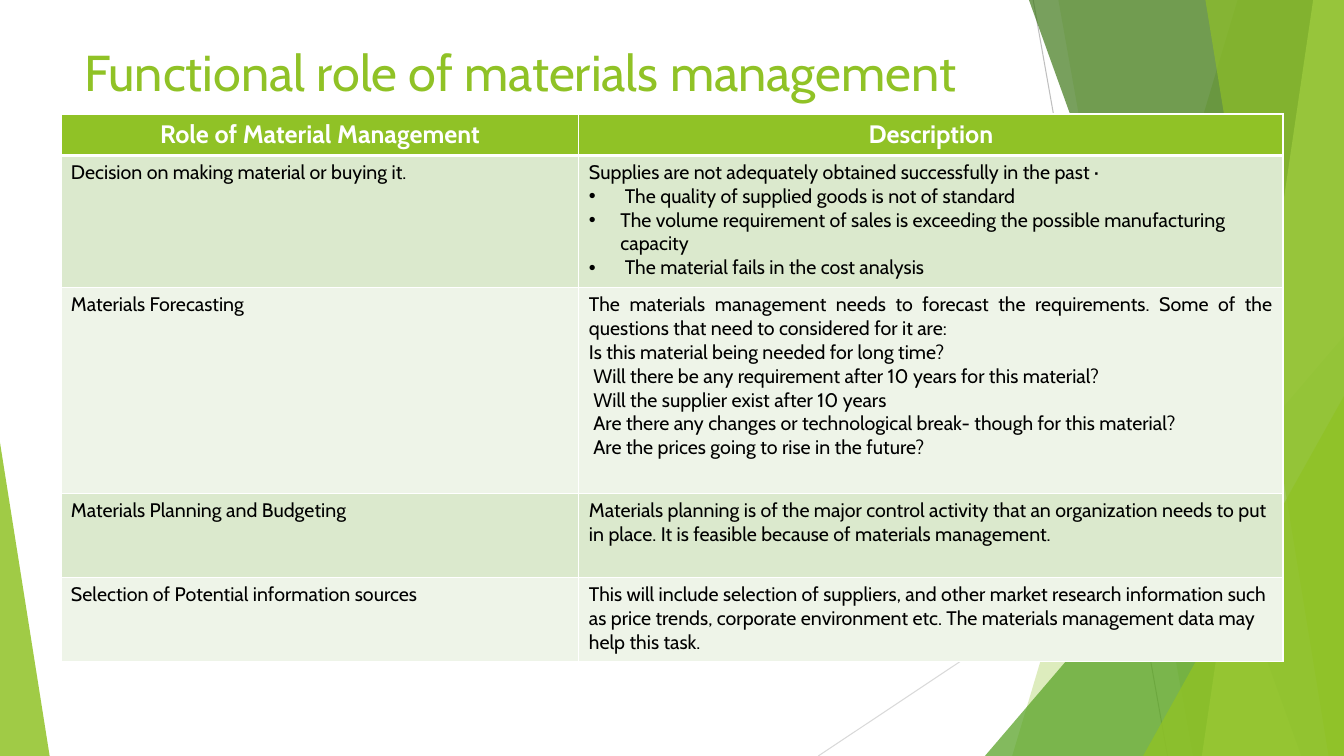
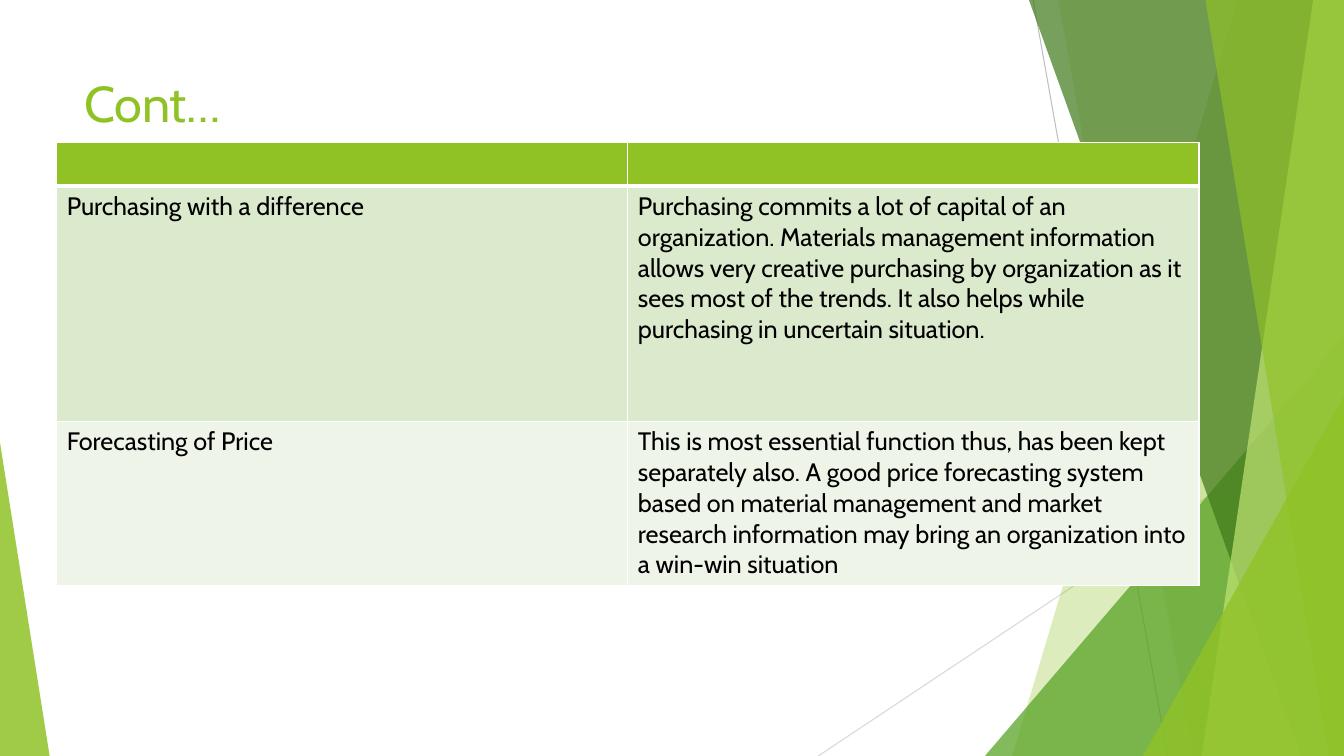
from lxml.etree import SubElement as Sub
from pptx import Presentation
from pptx.dml.color import RGBColor as RGB
from pptx.enum.shapes import MSO_CONNECTOR as LINE, MSO_SHAPE as SHAPE
from pptx.enum.text import PP_ALIGN as ALIGN
from pptx.oxml import parse_xml
from pptx.oxml.ns import nsdecls, qn
from pptx.util import Pt

FONT = "Cabin"
HEX = {
    "lime": "90C226", "leaf": "54A021", "moss": "3F7819", "pale": "C0E474",
    "odd": "DBE9CD", "even": "EEF4E8", "white": "FFFFFF", "black": "000000",
    "gray": "BFBFBF", "mist": "D9D9D9",
}
WIDE, HIGH = 960, 540

# Shared background: thin lines, then facets and triangles from back to front
LINES = [(738, 0, 834, HIGH, "gray"), (WIDE, 290, 584.5, HIGH, "mist")]
SHARDS = [  # facet: top x, bottom x; triangle: left, top, width, peak
    ("facet", (884, 723), "lime", 30),
    ("facet", (756, 852), "lime", 20),
    ("peak", (703.5, 240, 256.5, 1), "leaf", 72),
    ("facet", (735, 929.5), "moss", 70),
    ("facet", (938, 858.5), "pale", 70),
    ("facet", (861, 949), "lime", 65),
    ("peak", (816.5, 283, 143.5, 1), "lime", 80),
    ("peak", (0, 316, 35.5, 0), "lime", 85),
]

# Cell text: a list holds paragraphs, "•" marks a bullet
SLIDES = [
    {
        "title": "Functional role of materials management",
        "box": (53, 26, 816, 69),
        "at": (43.5, 81.5), "cols": (370, 503),
        "rows": (29.5, 94.5, 147, 60, 60), "size": 14, "just": (2, 1),
        "cells": [
            (["Role of Material Management"], ["Description"]),
            (["Decision on making material or buying it."],
             ["Supplies are not adequately obtained successfully in the past ·",
              "• The quality of supplied goods is not of standard",
              "•The volume requirement of sales is exceeding the possible "
              "manufacturing capacity",
              "• The material fails in the cost analysis"]),
            (["Materials Forecasting"],
             ["The materials management needs to forecast the requirements. "
              "Some of the questions that need to considered for it are:",
              "Is this material being needed for long time?",
              " Will there be any requirement after 10 years for this material?",
              " Will the supplier exist after 10 years",
              " Are there any changes or technological break- though for this "
              "material?",
              " Are the prices going to rise in the future?"]),
            (["Materials Planning and Budgeting"],
             ["Materials planning is of the major control activity that an "
              "organization needs to put in place. It is feasible because of "
              "materials management."]),
            (["Selection of Potential information sources"],
             ["This will include selection of suppliers, and other market "
              "research information such as price trends, corporate "
              "environment etc. The materials management data may help this "
              "task."]),
        ],
    },
    {
        "title": "Cont…",
        "box": (53, 48, 677, 104),
        "at": (40.5, 102), "cols": (408, 408),
        "rows": (31, 168, 117), "size": 18, "just": None,
        "cells": [
            ([], []),
            (["Purchasing with a difference"],
             ["Purchasing commits a lot of capital of an organization. "
              "Materials management information allows very creative "
              "purchasing by organization as it sees most of the trends. It "
              "also helps while purchasing in uncertain situation."]),
            (["Forecasting of Price"],
             ["This is most essential function thus, has been kept separately "
              "also. A good price forecasting system based on material "
              "management and market research information may bring an "
              "organization into a win-win situation"]),
        ],
    },
]


def style(para, size, color, bold=False):
    for run in para.runs:
        font = run.font
        font.name, font.size, font.bold = FONT, Pt(size), bold
        font.color.rgb = RGB.from_string(HEX[color])


def edge(cell, top, bottom):
    props = cell._tc.get_or_add_tcPr()
    sides = [("L", 1), ("R", 1), ("T", top), ("B", bottom)]
    for spot, (side, width) in enumerate(sides):
        props.insert(spot, parse_xml(
            f'<a:ln{side} {nsdecls("a")} w="{Pt(width)}"><a:solidFill>'
            f'<a:srgbClr val="{HEX["white"]}"/></a:solidFill></a:ln{side}>'))


deck = Presentation()
deck.slide_width, deck.slide_height = Pt(WIDE), Pt(HIGH)

for page in SLIDES:
    slide = deck.slides.add_slide(deck.slide_layouts[6])
    shapes = slide.shapes

    # Thin lines
    for *ends, color in LINES:
        line = shapes.add_connector(LINE.STRAIGHT, *map(Pt, ends))
        line.line.color.rgb = RGB.from_string(HEX[color])
        line.line.width = Pt(0.75)
        Sub(line._element.spPr, qn("a:effectLst"))

    # Translucent shards
    for kind, place, color, alpha in SHARDS:
        if kind == "facet":
            top, low = place
            form = shapes.build_freeform(Pt(top), 0)
            form.add_line_segments([(Pt(WIDE), 0), (Pt(WIDE), Pt(HIGH)),
                                    (Pt(low), Pt(HIGH))])
            shard = form.convert_to_shape()
        else:
            left, top, width, peak = place
            shard = shapes.add_shape(SHAPE.ISOSCELES_TRIANGLE, Pt(left), Pt(top),
                                     Pt(width), Pt(HIGH - top))
            shard.adjustments[0] = peak
        shard.shadow.inherit = False
        shard.line.fill.background()
        shard.fill.solid()
        shard.fill.fore_color.rgb = RGB.from_string(HEX[color])
        tint = shard._element.spPr.find(".//" + qn("a:srgbClr"))
        Sub(tint, qn("a:alpha"), val=str(alpha * 1000))

    # Title
    frame = shapes.add_textbox(*map(Pt, page["box"])).text_frame
    frame.word_wrap = True
    frame.text = page["title"]
    style(frame.paragraphs[0], 36, "lime")

    # Table
    cols, rows = page["cols"], page["rows"]
    table = shapes.add_table(len(rows), len(cols), *map(Pt, page["at"]),
                             Pt(sum(cols)), Pt(sum(rows))).table
    table.horz_banding = False
    for col, width in zip(table.columns, cols):
        col.width = Pt(width)
    for r, (height, texts) in enumerate(zip(rows, page["cells"])):
        table.rows[r].height = Pt(height)
        head = r == 0
        fill = "lime" if head else "odd" if r % 2 else "even"
        for c, items in enumerate(texts):
            cell = table.cell(r, c)
            cell.fill.solid()
            cell.fill.fore_color.rgb = RGB.from_string(HEX[fill])
            edge(cell, 3 if r == 1 else 1, 3 if head else 1)
            cell.text_frame.text = "\n".join(t.removeprefix("•") for t in items)
            for text, para in zip(items, cell.text_frame.paragraphs):
                if head:
                    style(para, 18, "white", True)
                    para.alignment = ALIGN.CENTER
                else:
                    style(para, page["size"], "black")
                if (r, c) == page["just"]:
                    para.alignment = ALIGN.JUSTIFY
                if text.startswith("•"):
                    props = para._p.get_or_add_pPr()
                    props.set("marL", str(Pt(22.5)))
                    props.set("indent", str(-Pt(22.5)))
                    Sub(props, qn("a:buFont"), typeface="Arial")
                    Sub(props, qn("a:buChar"), char="•")

deck.save("out.pptx")
